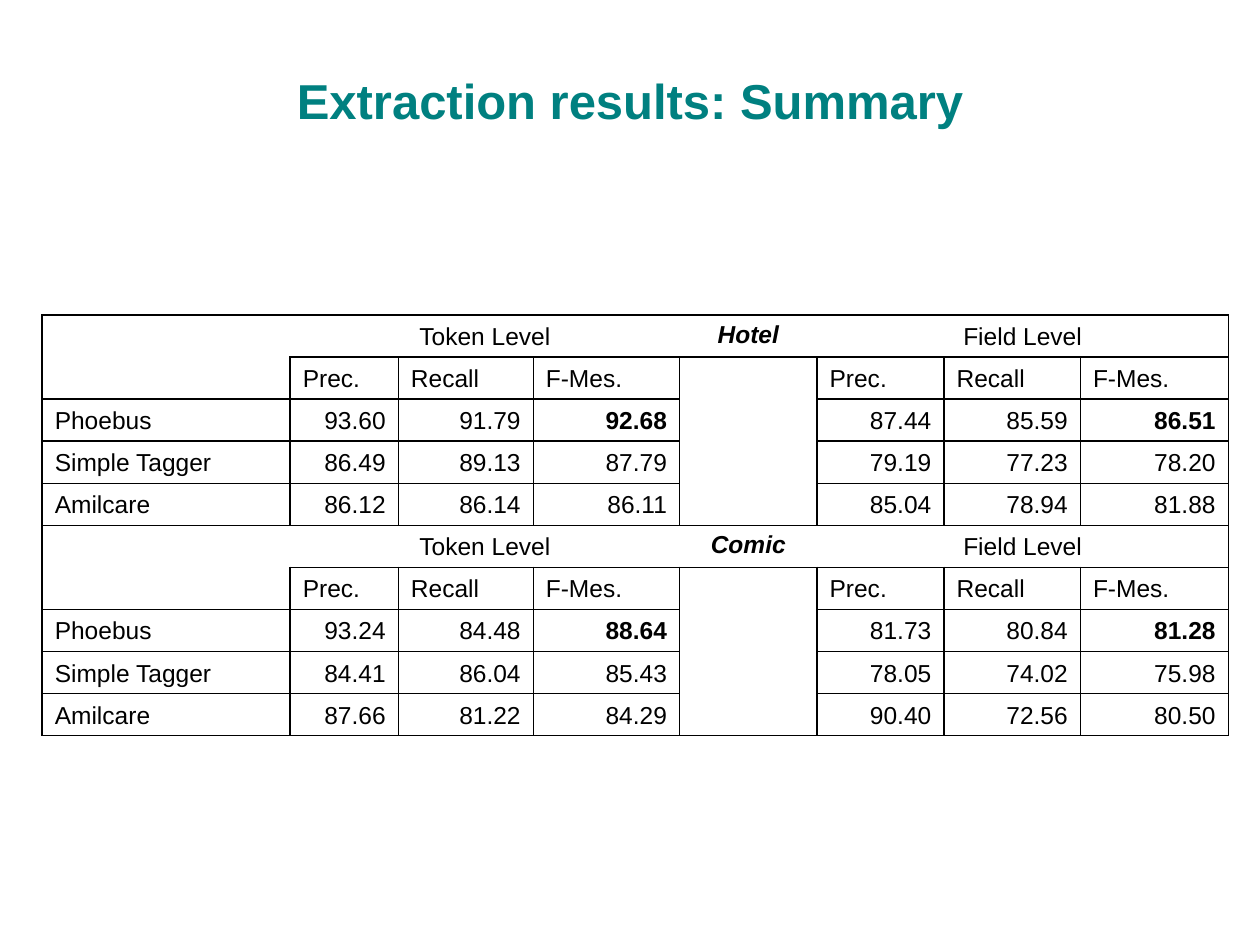
from lxml.etree import SubElement
from pptx import Presentation
from pptx.dml.color import RGBColor
from pptx.enum.text import MSO_ANCHOR, PP_ALIGN
from pptx.oxml.ns import qn
from pptx.util import Cm, Pt

COLORS = {"title": "008080", "text": "000000", "line": "000000"}
FONT = "Arial"
TEXT_SIZE, EMPTY_SIZE = 14, 10  # empty cells stay small so that rows do not grow
NO_GRID_STYLE = "{2D5ABB26-0587-4C30-8999-92F81FD0307C}"

TITLE = "Extraction results: Summary"
MEASURES = ["Prec.", "Recall", "F-Mes."]
# domain -> (system, token level values, field level values)
RESULTS = {
    "Hotel": [
        ("Phoebus", ["93.60", "91.79", "92.68"], ["87.44", "85.59", "86.51"]),
        ("Simple Tagger", ["86.49", "89.13", "87.79"], ["79.19", "77.23", "78.20"]),
        ("Amilcare", ["86.12", "86.14", "86.11"], ["85.04", "78.94", "81.88"]),
    ],
    "Comic": [
        ("Phoebus", ["93.24", "84.48", "88.64"], ["81.73", "80.84", "81.28"]),
        ("Simple Tagger", ["84.41", "86.04", "85.43"], ["78.05", "74.02", "75.98"]),
        ("Amilcare", ["87.66", "81.22", "84.29"], ["90.40", "72.56", "80.50"]),
    ],
}
BEST = "Phoebus"

COL_WIDTHS = [5, 2.18, 2.72, 2.95, 2.77, 2.56, 2.75, 2.98]
ROW_HEIGHT = 0.81
BLOCK_ROWS = 5
TOKEN, GAP, FIELD = 1, 4, 5  # first column of each part
HEADER_SIDES = ["LT", "TB", "TB", "TB", "TB", "TBR", "TB", "TBR"]


def style(p, size, color, align, bold=False, italic=False):
    p.alignment = align
    f = p.font
    f.name, f.size, f.bold, f.italic = FONT, Pt(size), bold, italic
    f.color.rgb = RGBColor.from_string(color)


def sides_of(row, col):
    """Return the bordered sides of a cell, with row counted inside its block."""
    if row == 0:
        return HEADER_SIDES[col]
    if col == 0 and row == 1:
        return "LB"
    return "LRTB"


def set_borders(cell, sides):
    tc_pr = cell._tc.get_or_add_tcPr()
    for side in "LRTB":
        if side in sides:
            ln = SubElement(tc_pr, qn(f"a:ln{side}"), w=str(Pt(1)))
            fill = SubElement(ln, qn("a:solidFill"))
            SubElement(fill, qn("a:srgbClr"), val=COLORS["line"])


def block_texts(domain, systems):
    yield ["", "Token Level", "", "", domain, "Field Level", "", ""]
    yield ["", *MEASURES, "", *MEASURES]
    for name, token, field in systems:
        yield [name, *token, "", *field]


def fill_block(table, top, domain, systems):
    for row, texts in enumerate(block_texts(domain, systems)):
        for col, text in enumerate(texts):
            cell = table.cell(top + row, col)
            set_borders(cell, sides_of(row, col))
            cell.fill.background()
            cell.vertical_anchor = MSO_ANCHOR.BOTTOM
            cell.text = text
            is_domain = row == 0 and col == GAP
            is_best = texts[0] == BEST and col in (GAP - 1, len(texts) - 1)
            if row == 0:
                align = PP_ALIGN.CENTER
            elif row == 1 or col == 0:
                align = PP_ALIGN.LEFT
            else:
                align = PP_ALIGN.RIGHT
            style(cell.text_frame.paragraphs[0], TEXT_SIZE if text else EMPTY_SIZE,
                  COLORS["text"], align, is_domain or is_best, is_domain)
    table.cell(top, GAP).vertical_anchor = MSO_ANCHOR.TOP
    for r1, c1, r2, c2 in [(0, 0, 1, 0), (0, TOKEN, 0, GAP - 1),
                           (0, FIELD, 0, FIELD + 2), (1, GAP, BLOCK_ROWS - 1, GAP)]:
        table.cell(top + r1, c1).merge(table.cell(top + r2, c2))


def main():
    prs = Presentation()
    prs.slide_width, prs.slide_height = Cm(25.4), Cm(19.05)
    s = prs.slides.add_slide(prs.slide_layouts[6])

    tf = s.shapes.add_textbox(Cm(0.85), Cm(0.42), Cm(23.7), Cm(3.18)).text_frame
    tf.word_wrap = True
    tf.vertical_anchor = MSO_ANCHOR.MIDDLE
    tf.text = TITLE
    style(tf.paragraphs[0], 28, COLORS["title"], PP_ALIGN.CENTER, bold=True)

    n_rows = BLOCK_ROWS * len(RESULTS)
    frame = s.shapes.add_table(n_rows, len(COL_WIDTHS), Cm(0.85), Cm(6.35),
                               Cm(sum(COL_WIDTHS)), Cm(ROW_HEIGHT * n_rows))
    table = frame.table
    table.first_row = table.horz_banding = False
    table._tbl.tblPr.find(qn("a:tableStyleId")).text = NO_GRID_STYLE
    for column, width in zip(table.columns, COL_WIDTHS):
        column.width = Cm(width)
    for row in table.rows:
        row.height = Cm(ROW_HEIGHT)
    for i, (domain, systems) in enumerate(RESULTS.items()):
        fill_block(table, i * BLOCK_ROWS, domain, systems)

    prs.save("out.pptx")


if __name__ == "__main__":
    main()
